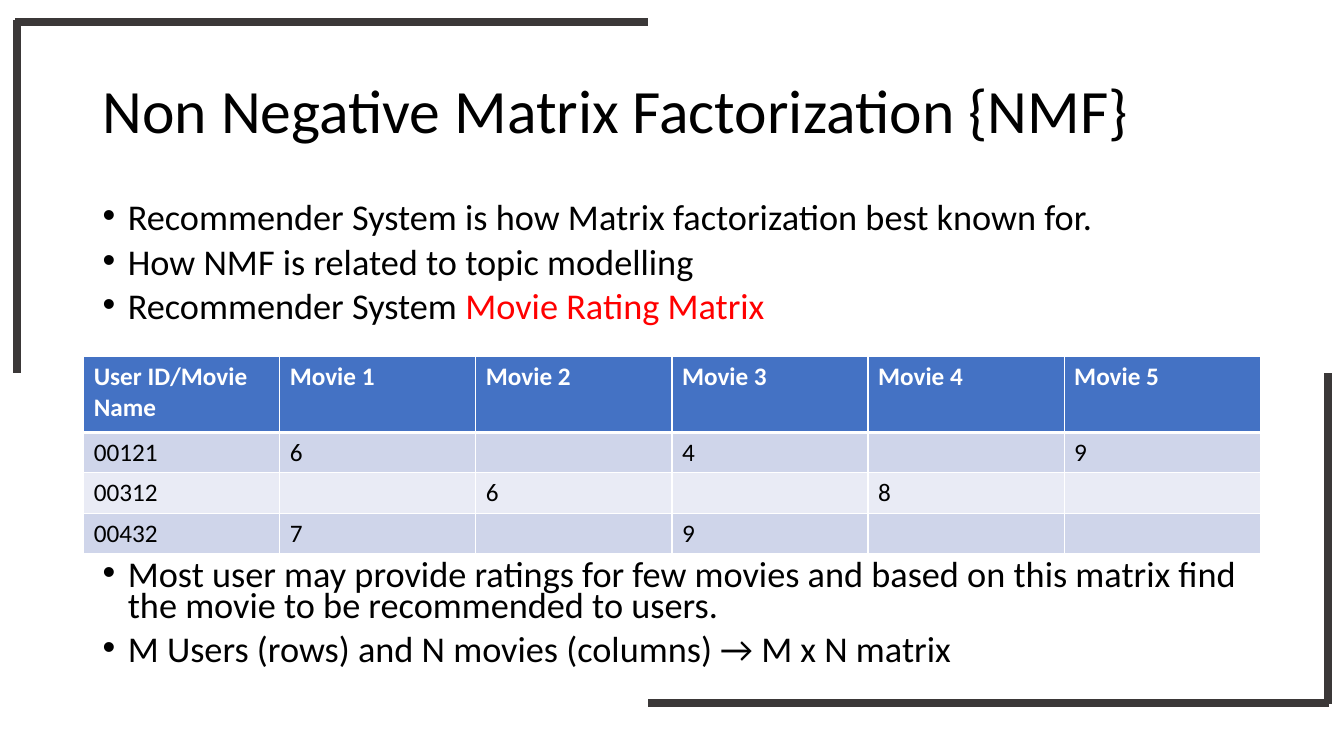
from lxml import etree
from pptx import Presentation
from pptx.dml.color import RGBColor
from pptx.enum.shapes import MSO_CONNECTOR
from pptx.enum.text import MSO_ANCHOR
from pptx.oxml import parse_xml
from pptx.oxml.ns import nsdecls, qn
from pptx.util import Inches, Pt

STRAIGHT = MSO_CONNECTOR.STRAIGHT
TOP = MSO_ANCHOR.TOP
MIDDLE = MSO_ANCHOR.MIDDLE

BLACK, WHITE, RED = "000000", "FFFFFF", "FF0000"
FRAME, HEADER = "3B3838", "4472C4"
BANDS = ["CFD5EA", "E9EBF5"]


def color(value):
    """Turn a hex string into a colour."""
    return RGBColor.from_string(value)


class SlideBuilder:
    """Hold the font and the current slide, and add elements to it."""

    def __init__(self, slide, font):
        self.slide = slide
        self.font = font

    def span(self, para, text, size, ink=BLACK, bold=False):
        """Add one run of text to a paragraph."""
        span = para.add_run()
        span.text = text
        span.font.name = self.font
        span.font.size = Pt(size)
        span.font.bold = bold
        span.font.color.rgb = color(ink)

    def bullet(self, para):
        """Give a paragraph a hanging round bullet."""
        properties = para._p.get_or_add_pPr()
        properties.set("marL", str(Inches(0.25)))
        properties.set("indent", str(Inches(-0.25)))
        etree.SubElement(properties, qn("a:buFont")).set("typeface", "Arial")
        etree.SubElement(properties, qn("a:buChar")).set("char", "•")

    def text(self, place, paragraphs, size, spacing, before=0, anchor=TOP, bulleted=False):
        """Add a text box; each paragraph is a list of (text, colour) pairs."""
        box = self.slide.shapes.add_textbox(*map(Inches, place))
        frame = box.text_frame
        frame.word_wrap = True
        frame.vertical_anchor = anchor
        for index, spans in enumerate(paragraphs):
            para = frame.add_paragraph() if index else frame.paragraphs[0]
            para.line_spacing = spacing
            para.space_before = Pt(before)
            if bulleted:
                self.bullet(para)
            for words, ink in spans:
                self.span(para, words, size, ink)

    def border(self, cell, side, width):
        """Draw one white cell border."""
        cell._tc.get_or_add_tcPr().append(parse_xml(
            f'<a:{side} {nsdecls("a")} w="{Pt(width)}"><a:solidFill>'
            f'<a:srgbClr val="{WHITE}"/></a:solidFill></a:{side}>'))

    def table(self, place, rows, heights, size):
        """Add a table with a coloured header row and banded body rows."""
        shape = self.slide.shapes.add_table(len(rows), len(rows[0]), *map(Inches, place))
        table = shape.table
        for row, (values, height) in enumerate(zip(rows, heights)):
            table.rows[row].height = Inches(height)
            is_header = row == 0
            for column, value in enumerate(values):
                cell = table.cell(row, column)
                for side in ("lnL", "lnR", "lnT", "lnB"):
                    edge = (row, side) in ((0, "lnB"), (1, "lnT"))
                    self.border(cell, side, 3 if edge else 1)
                cell.fill.solid()
                cell.fill.fore_color.rgb = color(HEADER if is_header else BANDS[(row - 1) % 2])
                if value:
                    self.span(cell.text_frame.paragraphs[0], value, size,
                              WHITE if is_header else BLACK, is_header)

    def line(self, start, end, ink, width):
        """Add a straight line without shadow."""
        line = self.slide.shapes.add_connector(STRAIGHT, *map(Inches, start + end))
        line.line.color.rgb = color(ink)
        line.line.width = Pt(width)
        etree.SubElement(line._element.spPr, qn("a:effectLst"))


deck = Presentation()
deck.slide_width = Inches(13.33)
deck.slide_height = Inches(7.5)
page = SlideBuilder(deck.slides.add_slide(deck.slide_layouts[6]), "Calibri")

page.text((0.92, 0.4, 11.5, 1.45), [[("Non Negative Matrix Factorization {NMF}", BLACK)]],
          44, 0.9, anchor=MIDDLE)

introduction = [
    [("Recommender System is how Matrix factorization best known for.", BLACK)],
    [("How NMF is related to topic modelling", BLACK)],
    [("Recommender System ", BLACK), ("Movie Rating Matrix", RED)],
]
conclusion = [
    [("Most user may provide ratings for few movies and based on this matrix find "
      "the movie to be recommended to users.", BLACK)],
    [("M Users (rows) and N movies (columns) → M x N matrix", BLACK)],
]
for top, height, bullets in ((2, 1.4, introduction), (5.54, 1.22, conclusion)):
    page.text((0.92, top, 11.5, height), bullets, 25.9, 0.7, before=10, bulleted=True)

ratings = [
    ["User ID/Movie Name"] + [f"Movie {number}" for number in range(1, 6)],
    ["00121", "6", "", "4", "", "9"],
    ["00312", "", "6", "", "8", ""],
    ["00432", "7", "", "9", "", ""],
]
page.table((0.83, 3.54, 11.67, 1.95), ratings, [0.75, 0.4, 0.4, 0.4], 18)

frame_lines = [
    ((0.15, 0.22), (6.43, 0.22)),
    ((0.17, 0.2), (0.17, 3.7)),
    ((13.18, 6.97), (6.43, 6.97)),
    ((13.17, 6.98), (13.17, 3.7)),
]
for start, end in frame_lines:
    page.line(start, end, FRAME, 5.75)

deck.save("out.pptx")
